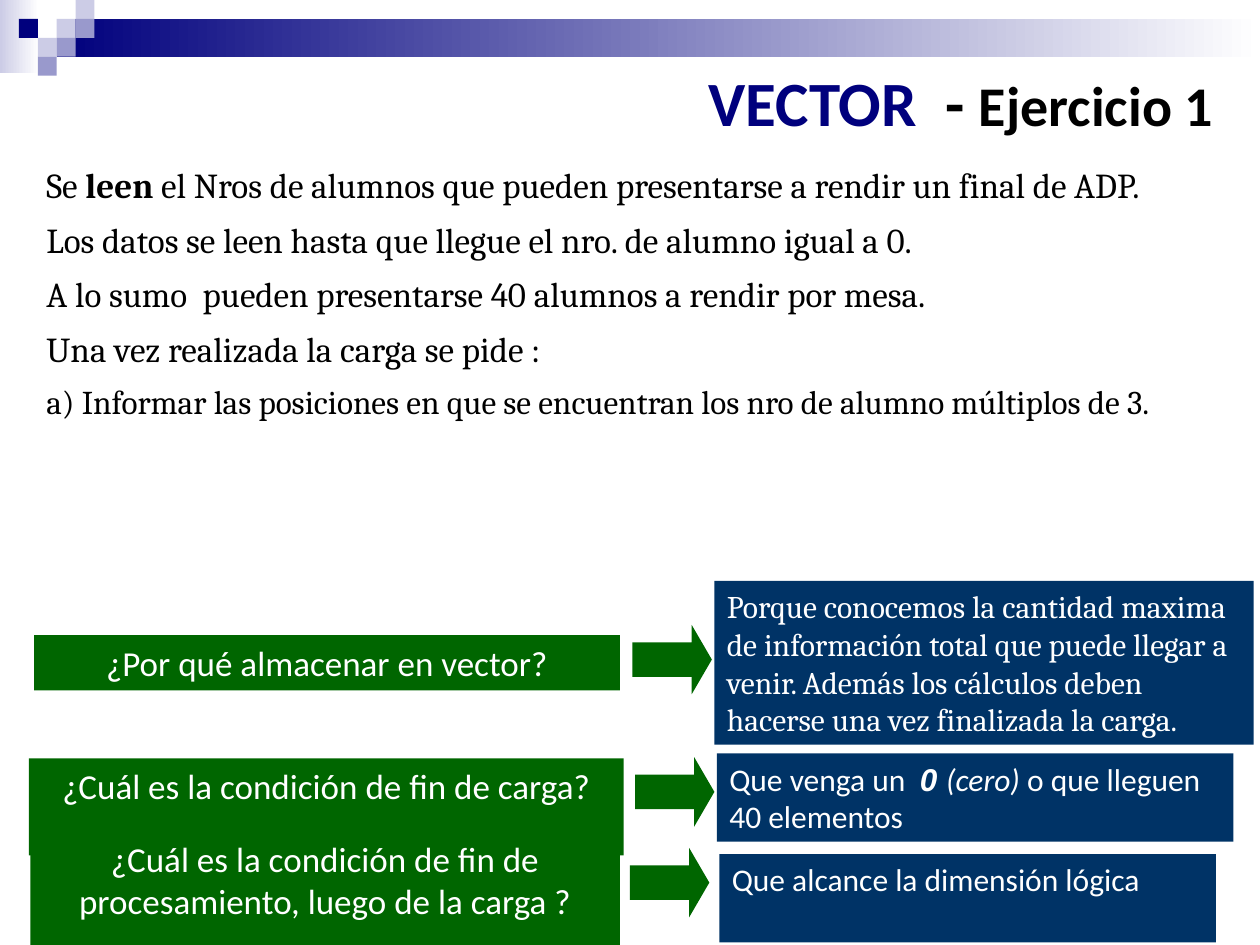
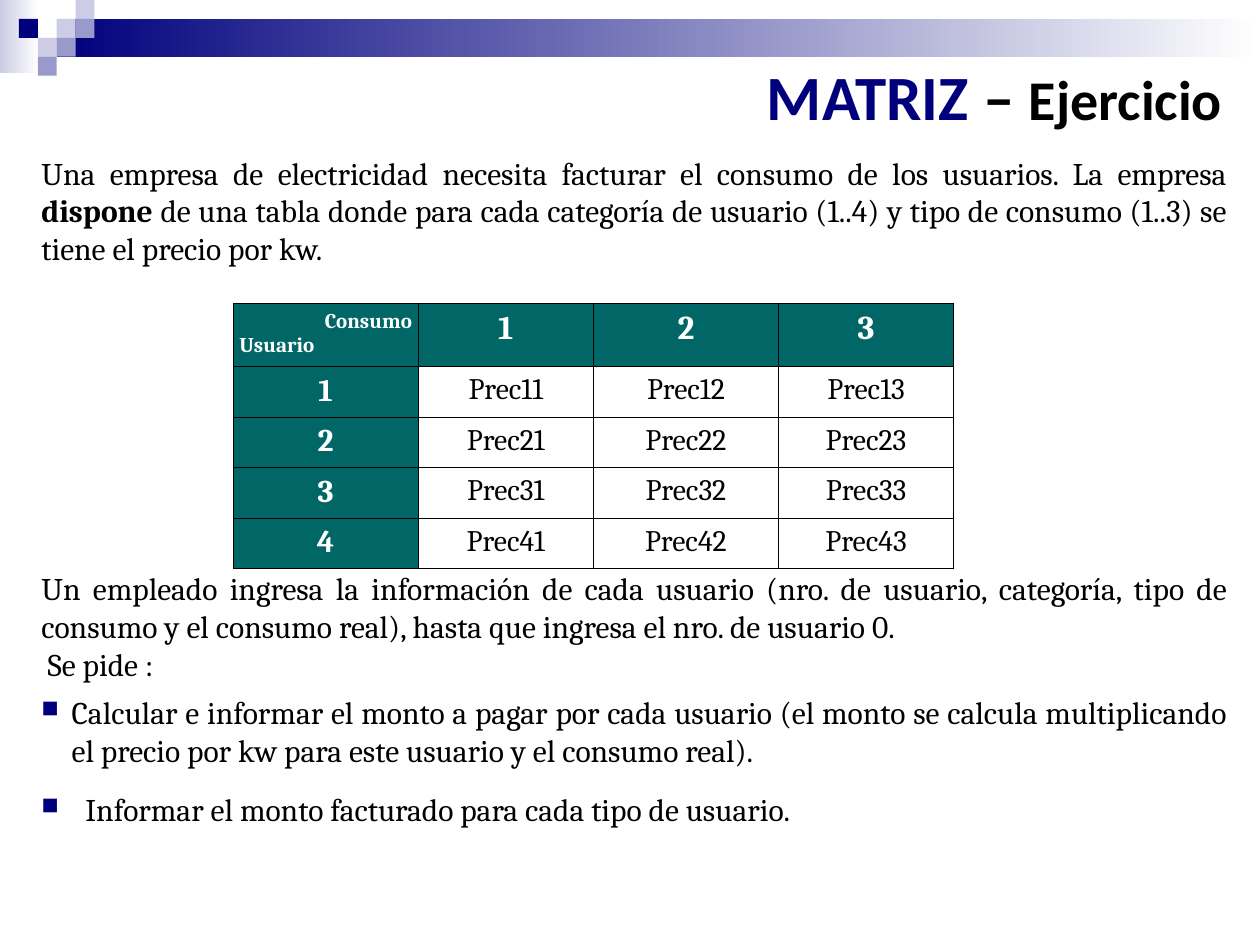
from lxml import etree
from pptx import Presentation
from pptx import util as u
from pptx.dml.color import RGBColor
from pptx.enum import shapes, text
from pptx.oxml.ns import qn

NAVY, LILAC, PALE = "00007D", "9999CC", "CCCCE6"
GREEN, BLUE, TEAL = "006600", "003366", "006666"
BLACK, WHITE = "000000", "FFFFFF"
LEFT, RIGHT = text.PP_ALIGN.LEFT, text.PP_ALIGN.RIGHT
CENTER, JUSTIFY = text.PP_ALIGN.CENTER, text.PP_ALIGN.JUSTIFY
BOLD = {"bold": True}


def color(value):
    return RGBColor.from_string(value)


def add_bullet(paragraph, hanging):
    """Give the paragraph a small navy square with a hanging indent."""
    properties = paragraph._p.get_or_add_pPr()
    properties.set("marL", str(u.Inches(hanging)))
    properties.set("indent", str(-u.Inches(hanging)))
    bullet_color = etree.SubElement(properties, qn("a:buClr"))
    etree.SubElement(bullet_color, qn("a:srgbClr"), val=NAVY)
    etree.SubElement(properties, qn("a:buSzPct"), val="75000")
    etree.SubElement(properties, qn("a:buChar"), char="■")


def write(paragraph, runs, align=LEFT, line_spacing=None, before=0, after=0,
          bullet=None, indent=None, **style):
    """Write runs: a string, or a list of strings and (string, changes) pairs."""
    paragraph.alignment = align
    paragraph.space_before, paragraph.space_after = u.Pt(before), u.Pt(after)
    if line_spacing:
        paragraph.line_spacing = line_spacing
    if indent:
        paragraph._p.get_or_add_pPr().set("marL", str(u.Inches(indent)))
    if bullet:
        add_bullet(paragraph, bullet)
    for item in [runs] if isinstance(runs, str) else runs:
        words, changes = (item, {}) if isinstance(item, str) else item
        look = {"font": "Cambria", "size": 18, "ink": BLACK,
                "bold": False, "italic": False, **style, **changes}
        run = paragraph.add_run()
        run.text = words
        run.font.name = look["font"]
        run.font.size = u.Pt(look["size"])
        run.font.bold, run.font.italic = look["bold"], look["italic"]
        run.font.color.rgb = color(look["ink"])


def write_all(frame, paragraphs, **style):
    """Fill a frame with paragraphs, each given as (runs, changes)."""
    frame.word_wrap = True
    for index, (runs, changes) in enumerate(paragraphs):
        paragraph = frame.add_paragraph() if index else frame.paragraphs[0]
        write(paragraph, runs, **{**style, **changes})


class Deck:
    def __init__(self):
        self.presentation = Presentation()
        self.presentation.slide_width = u.Inches(10)
        self.presentation.slide_height = u.Inches(7.5)
        self.slide = None

    def new_slide(self):
        self.slide = self.presentation.slides.add_slide(
            self.presentation.slide_layouts[6])
        self.band()

    def shape(self, box, fill, kind=shapes.MSO_SHAPE.RECTANGLE):
        """Add a borderless shape; a pair of colours makes a gradient."""
        shape = self.slide.shapes.add_shape(kind, *map(u.Inches, box))
        shape.shadow.inherit = False
        shape.line.fill.background()
        if isinstance(fill, str):
            shape.fill.solid()
            shape.fill.fore_color.rgb = color(fill)
        else:
            shape.fill.gradient()
            shape.fill.gradient_angle = 0
            for position, (stop, value) in enumerate(
                    zip(shape.fill.gradient_stops, fill)):
                stop.color.rgb = color(value)
                stop.position = position
        return shape

    def band(self):
        """Draw the gradient band and its mosaic of squares."""
        self.shape((0, 0, 0.31, 0.58), (PALE, WHITE))
        self.shape((0.45, 0.15, 9.55, 0.3), (NAVY, WHITE))
        side = 0.15
        for column, row, fill in [(3, 1, PALE), (4, 0, PALE), (4, 1, LILAC),
                                  (2, 2, PALE), (1, 1, NAVY), (3, 2, LILAC),
                                  (2, 3, LILAC)]:
            self.shape((column * side, row * side, side, side), fill)

    def text_box(self, box, paragraphs, **style):
        frame = self.slide.shapes.add_textbox(*map(u.Inches, box)).text_frame
        write_all(frame, paragraphs, **style)
        return frame

    def title(self, box, topic, dash, subtitle):
        runs = [(topic, {"ink": NAVY}), dash, (subtitle, {"size": 32})]
        frame = self.text_box(box, [(runs, {})], align=RIGHT, font="Calibri",
                              size=36, bold=True)
        frame.vertical_anchor = text.MSO_ANCHOR.BOTTOM
        frame.margin_bottom = u.Inches(0.1)

    def panel(self, box, fill, runs, **style):
        frame = self.shape(box, fill).text_frame
        frame.vertical_anchor = text.MSO_ANCHOR.TOP
        write_all(frame, [(runs, {})], ink=WHITE, **style)

    def arrow(self, left, top):
        arrow = self.shape((left, top, 0.63, 0.55), GREEN,
                           shapes.MSO_SHAPE.RIGHT_ARROW)
        arrow.adjustments[0], arrow.adjustments[1] = 0.5, 0.29

    def table(self, left, top, widths, heights):
        table = self.slide.shapes.add_table(
            len(heights), len(widths), u.Inches(left), u.Inches(top),
            u.Inches(sum(widths)), u.Inches(sum(heights))).table
        table.first_row = table.horz_banding = False
        for column, width in zip(table.columns, widths):
            column.width = u.Inches(width)
        for row, height in zip(table.rows, heights):
            row.height = u.Inches(height)
        return table

    def cell(self, cell, fill, paragraphs, **style):
        cell.margin_left = cell.margin_right = u.Inches(0.05)
        cell.margin_top = cell.margin_bottom = u.Inches(0.05)
        properties = cell._tc.get_or_add_tcPr()
        for edge in ("lnL", "lnR", "lnT", "lnB"):
            line = etree.SubElement(properties, qn(f"a:{edge}"),
                                    w=str(u.Pt(0.45)))
            solid = etree.SubElement(line, qn("a:solidFill"))
            etree.SubElement(solid, qn("a:srgbClr"), val=BLACK)
        cell.fill.solid()
        cell.fill.fore_color.rgb = color(fill)
        write_all(cell.text_frame, paragraphs, **style)


def vector_slide(deck):
    deck.new_slide()
    deck.title((0.39, 0.48, 9.34, 0.72), "VECTOR", "  - ", "Ejercicio 1")

    # Problem statement
    deck.text_box((0.27, 1.15, 9.73, 2.25), [
        (["Se ", ("leen", BOLD), " el Nros de alumnos que pueden presentarse "
          "a rendir un final de ADP."], {}),
        ("Los datos se leen hasta que llegue el nro. de alumno igual a 0.", {}),
        ("A lo sumo  pueden presentarse 40 alumnos a rendir por mesa.", {}),
        ("Una vez realizada la carga se pide :", {}),
        ("a) Informar las posiciones en que se encuentran los nro de alumno "
         "múltiplos de 3.", {"size": 19}),
    ], size=20, line_spacing=1.3)

    # Questions, arrows and answers
    rows = [
        ((0.27, 5.04, 4.65, 0.44), "¿Por qué almacenar en vector?",
         (5.02, 4.96), (5.67, 4.61, 4.28, 1.3), "Cambria",
         "Porque conocemos la cantidad maxima de información total que puede "
         "llegar a venir. Además los cálculos deben hacerse una vez "
         "finalizada la carga."),
        ((0.23, 6.02, 4.72, 0.77), "¿Cuál es la condición de fin de carga?",
         (5.04, 6.01), (5.69, 5.98, 4.1, 0.7), "Calibri",
         ["Que venga un  ",
          ("0 ", {"font": "Arial", "bold": True, "italic": True}),
          ("(cero)", {"italic": True}), " o que lleguen 40 elementos"]),
        ((0.24, 6.6, 4.68, 0.9),
         "¿Cuál es la condición de fin de procesamiento, luego de la carga ?",
         (5, 6.73), (5.71, 6.78, 3.94, 0.7), "Calibri",
         "Que alcance la dimensión lógica"),
    ]
    for question_box, question, arrow_at, answer_box, font, answer in rows:
        deck.panel(question_box, GREEN, question, font="Calibri", size=20,
                   align=CENTER)
        deck.arrow(*arrow_at)
        deck.panel(answer_box, BLUE, answer, font=font)


def matrix_slide(deck):
    deck.new_slide()
    deck.title((0.27, 0.44, 9.53, 0.72), "MATRIZ", " – ", "Ejercicio")

    # Problem statement
    deck.text_box((0.23, 1.17, 9.61, 1), [
        (["Una empresa de electricidad necesita facturar el consumo de los "
          "usuarios. La empresa ", ("dispone", BOLD), " de una tabla donde "
          "para cada categoría de usuario (1..4) y tipo de consumo (1..3) se "
          "tiene el precio por kw."], {})], align=JUSTIFY)

    # Price table: user category by type of use
    prices = deck.table(1.85, 2.41, [1.47, 1.39, 1.47, 1.39],
                        [0.48] + [0.39] * 4)
    header = {"ink": WHITE, "bold": True}
    deck.cell(prices.cell(0, 0), TEAL,
              [("Consumo", {"align": RIGHT}), ("Usuario", {})],
              size=12, **header)
    for use in range(1, 4):
        deck.cell(prices.cell(0, use), TEAL, [(str(use), {})],
                  size=19, align=CENTER, **header)
    for user in range(1, 5):
        deck.cell(prices.cell(user, 0), TEAL, [(str(user), {})],
                  align=CENTER, **header)
        for use in range(1, 4):
            deck.cell(prices.cell(user, use), WHITE,
                      [(f"Prec{user}{use}", {})], size=17, align=CENTER)

    # Input and tasks
    task = {"before": 6, "after": 6}
    deck.text_box((0.23, 4.47, 9.61, 2.3), [
        ("Un empleado ingresa la información de cada usuario (nro. de usuario, "
         "categoría, tipo de consumo y el consumo real), hasta que ingresa el "
         "nro. de usuario 0.", {}),
        ("Se pide :", {"indent": 0.05}),
        ("Calcular e informar el monto a pagar por cada usuario (el monto se "
         "calcula multiplicando el precio por kw para este usuario y el "
         "consumo real).", {"bullet": 0.24, **task}),
        ("Informar el monto facturado para cada tipo de usuario.",
         {"bullet": 0.35, **task}),
    ], align=JUSTIFY)


def main():
    deck = Deck()
    vector_slide(deck)
    matrix_slide(deck)
    deck.presentation.save("out.pptx")


if __name__ == "__main__":
    main()
